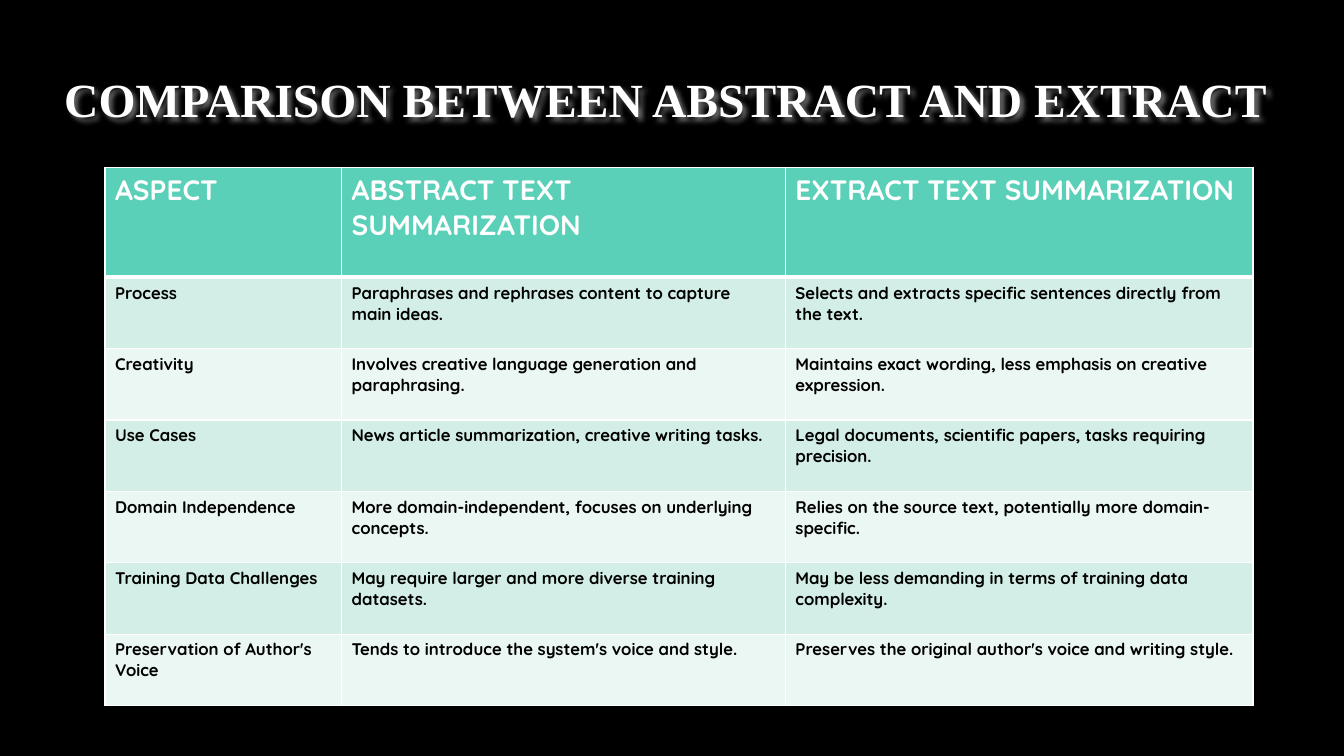
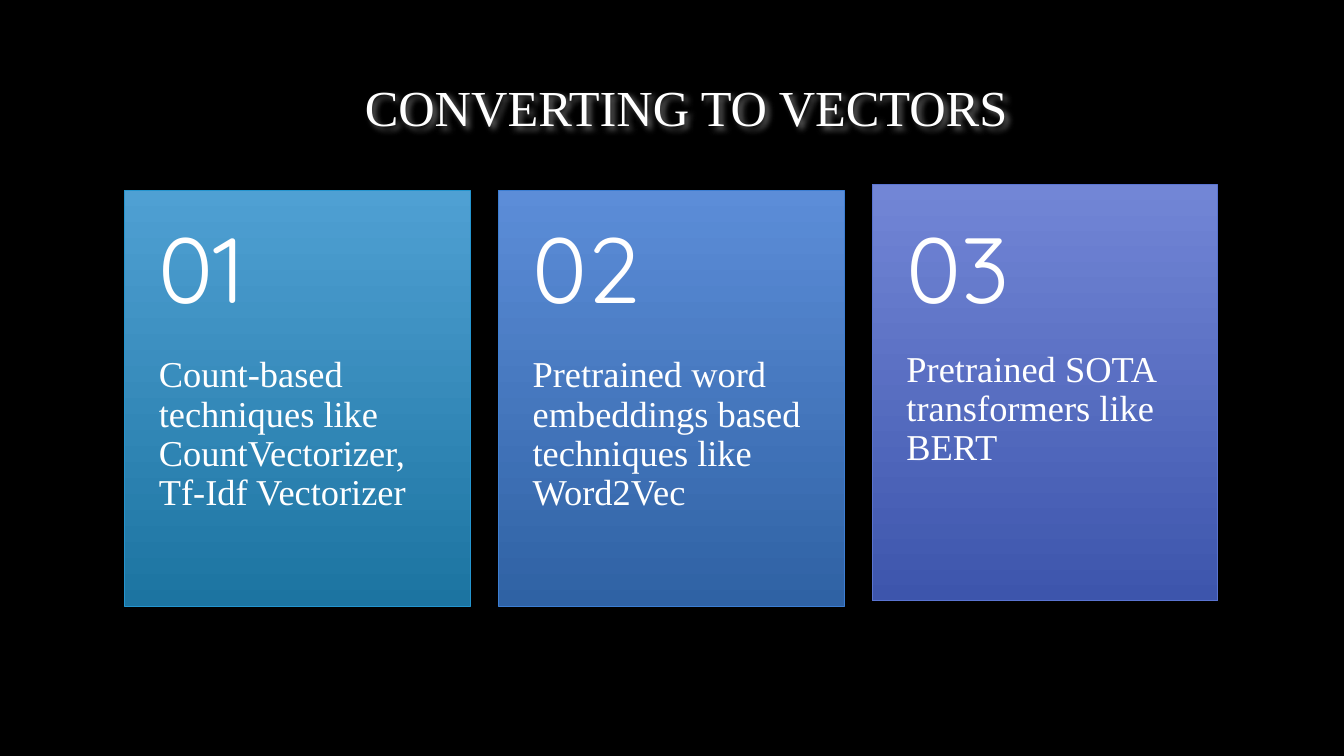
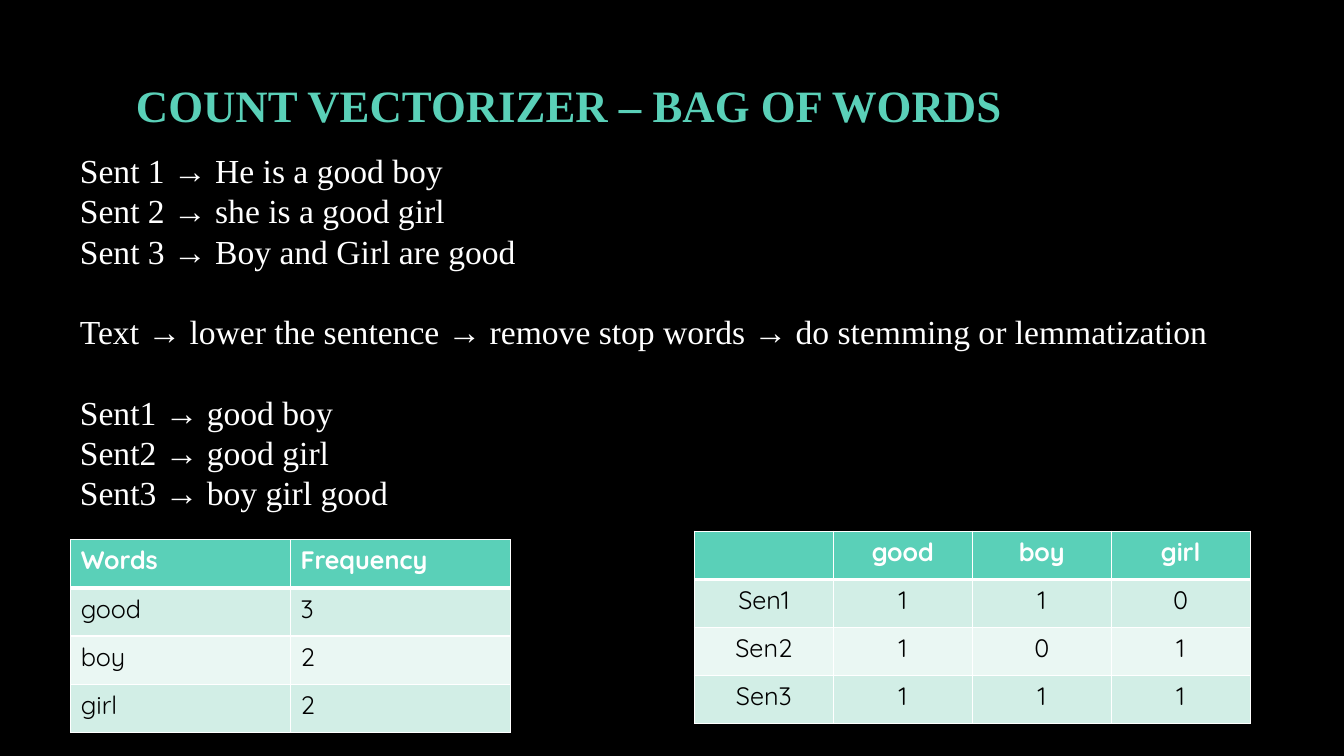
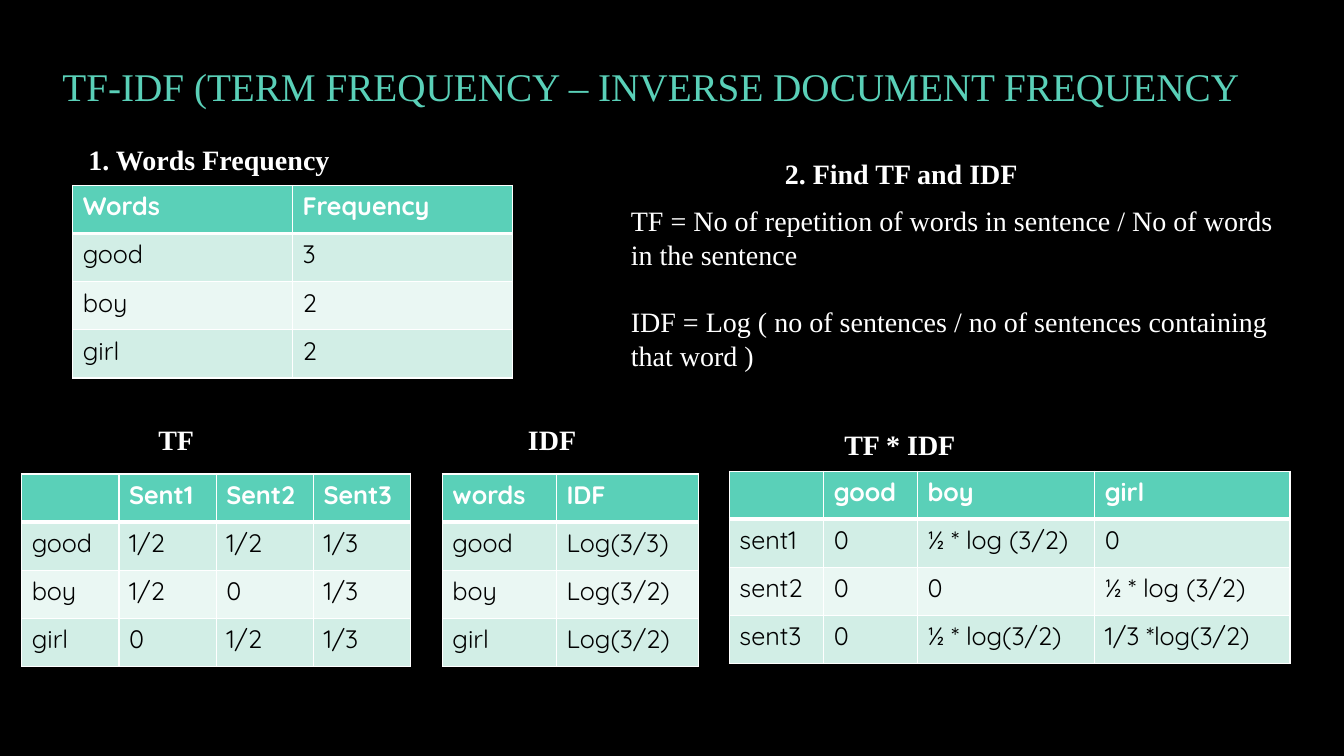
from lxml.etree import SubElement
from pptx import Presentation
from pptx.dml.color import RGBColor
from pptx.enum.shapes import MSO_SHAPE
from pptx.enum.text import MSO_ANCHOR, PP_ALIGN
from pptx.oxml.ns import qn
from pptx.util import Pt

COLORS = {
    "background": "000000",
    "light": "FFFFFF",
    "dark": "000000",
    "accent": "5AD0B8",
    "band_odd": "D2EEE6",
    "band_even": "EAF7F3",
}
SERIF = "Times New Roman"
SANS = "Quicksand"
ROW_HEIGHT = 34.4

COMPARISON = [
    ["ASPECT", "ABSTRACT TEXT SUMMARIZATION", "EXTRACT TEXT SUMMARIZATION"],
    ["Process", "Paraphrases and rephrases content to capture main ideas.",
     "Selects and extracts specific sentences directly from the text."],
    ["Creativity", "Involves creative language generation and paraphrasing.",
     "Maintains exact wording, less emphasis on creative expression."],
    ["Use Cases", "News article summarization, creative writing tasks.",
     "Legal documents, scientific papers, tasks requiring precision."],
    ["Domain Independence", "More domain-independent, focuses on underlying concepts.",
     "Relies on the source text, potentially more domain-specific."],
    ["Training Data Challenges", "May require larger and more diverse training datasets.",
     "May be less demanding in terms of training data complexity."],
    ["Preservation of Author's Voice", "Tends to introduce the system's voice and style.",
     "Preserves the original author's voice and writing style."],
]
# number, description, gradient top, gradient bottom, outline, vertical shift
CARDS = [
    ("01", "Count-based techniques like CountVectorizer, Tf-Idf Vectorizer",
     "4FA0D3", "1C74A1", "2495CF", 0),
    ("02", "Pretrained word embeddings based techniques like Word2Vec",
     "5C8DD8", "2F62A4", "3C7ED3", 0),
    ("03", "Pretrained SOTA transformers like BERT",
     "7286D6", "3D55AC", "5A74D1", -4),
]
WORD_FREQUENCY = [["Words", "Frequency"], ["good", "3"], ["boy", "2"], ["girl", "2"]]
BAG_OF_WORDS = [
    ["", "good", "boy", "girl"],
    ["Sen1", "1", "1", "0"],
    ["Sen2", "1", "0", "1"],
    ["Sen3", "1", "1", "1"],
]
TERM_FREQUENCY = [
    ["", "Sent1", "Sent2", "Sent3"],
    ["good", "1/2", "1/2", "1/3"],
    ["boy", "1/2", "0", "1/3"],
    ["girl", "0", "1/2", "1/3"],
]
INVERSE_FREQUENCY = [
    ["words", "IDF"], ["good", "Log(3/3)"], ["boy", "Log(3/2)"], ["girl", "Log(3/2)"],
]
TF_IDF = [
    ["", "good", "boy", "girl"],
    ["sent1", "0", "½ * log (3/2)", "0"],
    ["sent2", "0", "0", "½ * log (3/2)"],
    ["sent3", "0", "½ * log(3/2)", "1/3 *log(3/2)"],
]


def rgb(color):
    return RGBColor.from_string(color)


def add_run(paragraph, text, size, color, bold=False, font=SERIF):
    run = paragraph.add_run()
    run.text = text
    run.font.name = font
    run.font.size = Pt(size)
    run.font.bold = bold
    run.font.color.rgb = rgb(color)


def add_text(slide, box, groups, size, color=COLORS["light"], bold=False, font=SERIF,
             anchor=MSO_ANCHOR.TOP, align=PP_ALIGN.LEFT, line_spacing=None,
             insets=(7.2, 3.6, 7.2, 3.6), group_gap=0):
    """Add a text box; each group is a list of lines, with group_gap between groups."""
    shape = slide.shapes.add_textbox(*map(Pt, box))
    frame = shape.text_frame
    frame.word_wrap = True
    frame.vertical_anchor = anchor
    (frame.margin_left, frame.margin_top,
     frame.margin_right, frame.margin_bottom) = map(Pt, insets)
    paragraph = None
    for lines in groups:
        for index, line in enumerate(lines):
            is_first = paragraph is None
            paragraph = frame.paragraphs[0] if is_first else frame.add_paragraph()
            paragraph.alignment = align
            if line_spacing:
                paragraph.line_spacing = line_spacing
            if index == 0 and not is_first:
                paragraph.space_before = Pt(group_gap)
            add_run(paragraph, line, size, color, bold, font)
    return shape


def add_label(slide, left, top, width, text):
    add_text(slide, (left, top, width, 31.5), [[text]], 20, bold=True)


def add_glow_shadow(shape):
    effects = SubElement(shape.element.spPr, qn("a:effectLst"))
    shadow = SubElement(effects, qn("a:outerShdw"), blurRad=str(Pt(4)),
                        dist=str(Pt(3)), dir="2700000", algn="tl", rotWithShape="0")
    color = SubElement(shadow, qn("a:srgbClr"), val=COLORS["light"])
    SubElement(color, qn("a:alpha"), val="40000")


def set_borders(cell, top, bottom):
    properties = cell._tc.get_or_add_tcPr()
    for side, width in (("L", 1), ("R", 1), ("T", top), ("B", bottom)):
        line = SubElement(properties, qn(f"a:ln{side}"), w=str(Pt(width)))
        fill = SubElement(line, qn("a:solidFill"))
        SubElement(fill, qn("a:srgbClr"), val=COLORS["light"])


def add_table(slide, left, top, widths, rows, header_height=ROW_HEIGHT,
              row_height=ROW_HEIGHT, header_size=18, body_size=18, body_bold=False,
              align=PP_ALIGN.LEFT):
    heights = [header_height] + [row_height] * (len(rows) - 1)
    table = slide.shapes.add_table(len(rows), len(widths), Pt(left), Pt(top),
                                   Pt(sum(widths)), Pt(sum(heights))).table
    for column, width in zip(table.columns, widths):
        column.width = Pt(width)
    for index, (height, texts) in enumerate(zip(heights, rows)):
        table.rows[index].height = Pt(height)
        is_header = index == 0
        band = "accent" if is_header else "band_odd" if index % 2 else "band_even"
        for column, text in enumerate(texts):
            cell = table.cell(index, column)
            set_borders(cell, 3 if index == 1 else 1, 3 if is_header else 1)
            cell.fill.solid()
            cell.fill.fore_color.rgb = rgb(COLORS[band])
            paragraph = cell.text_frame.paragraphs[0]
            paragraph.alignment = align
            if text:
                add_run(paragraph, text, header_size if is_header else body_size,
                        COLORS["light" if is_header else "dark"],
                        is_header or body_bold, SANS)


def add_card(slide, left, number, description, top_color, bottom_color, outline, shift):
    top, width, height, number_height = 136, 247, 297, 118.5
    card = slide.shapes.add_shape(MSO_SHAPE.RECTANGLE, Pt(left), Pt(top + shift),
                                  Pt(width), Pt(height))
    card.shadow.inherit = False
    card.fill.gradient()
    card.fill.gradient_angle = 270
    for stop, position, color in zip(card.fill.gradient_stops, (0, 1),
                                     (top_color, bottom_color)):
        stop.position = position
        stop.color.rgb = rgb(color)
    card.line.color.rgb = rgb(outline)
    card.line.width = Pt(0.75)
    add_text(slide, (left, top + number_height + shift, width, height - number_height),
             [[description]], 26, line_spacing=0.9, insets=(24.5, 0, 24.5, 26))
    add_text(slide, (left, top, width, number_height), [[number]], 66, font=SANS,
             anchor=MSO_ANCHOR.MIDDLE, line_spacing=0.9, insets=(24.5, 13, 24.5, 13))


def build_comparison(slide):
    add_table(slide, 75, 119.5, [169, 317, 334], COMPARISON, header_height=78.5,
              row_height=51, header_size=20, body_size=12, body_bold=True)
    title = add_text(slide, (5, 36, 941, 58.5),
                     [["COMPARISON BETWEEN ABSTRACT AND EXTRACT"]], 34, bold=True,
                     anchor=MSO_ANCHOR.BOTTOM, align=PP_ALIGN.CENTER, line_spacing=0.9)
    add_glow_shadow(title)


def build_vectors(slide):
    title = add_text(slide, (253.5, 51, 642, 83.5), [["CONVERTING TO VECTORS"]], 36)
    add_glow_shadow(title)
    for index, card in enumerate(CARDS):
        add_card(slide, 89 + 267 * index, *card)


def build_bag_of_words(slide):
    add_text(slide, (90, 17.5, 780, 114.5), [["COUNT VECTORIZER – BAG OF WORDS"]], 32,
             COLORS["accent"], bold=True, anchor=MSO_ANCHOR.MIDDLE)
    add_text(slide, (50, 103.5, 879, 312.5), [
        ["Sent 1 → He is a good boy",
         "Sent 2 → she is a good girl",
         "Sent 3 → Boy and Girl are good"],
        ["Text → lower the sentence → remove stop words → do stemming or lemmatization"],
        ["Sent1 → good boy", "Sent2 → good girl", "Sent3 → boy girl good"],
    ], 24, group_gap=28.8)
    add_table(slide, 50.5, 385.5, [157] * 2, WORD_FREQUENCY)
    add_table(slide, 496, 379.5, [99.25] * 4, BAG_OF_WORDS, align=PP_ALIGN.CENTER)


def build_tf_idf(slide):
    add_text(slide, (37.5, 24.5, 860, 74),
             [["TF-IDF (TERM FREQUENCY – INVERSE DOCUMENT FREQUENCY"]], 28,
             COLORS["accent"], anchor=MSO_ANCHOR.MIDDLE)
    # Frequencies and formulas
    add_label(slide, 56, 98, 295, "1. Words Frequency")
    add_table(slide, 52, 132.5, [157] * 2, WORD_FREQUENCY)
    add_label(slide, 553.5, 108, 343.5, "2. Find TF and IDF")
    add_text(slide, (443.5, 142, 489, 128), [
        ["TF = No of repetition of words in sentence / No of words in the sentence"],
        ["IDF = Log ( no of sentences / no of sentences containing that word )"],
    ], 20, group_gap=24)
    # Result tables
    add_label(slide, 106, 298, 117, "TF")
    add_table(slide, 15.5, 338.5, [69.5] * 4, TERM_FREQUENCY)
    add_label(slide, 370, 298, 137.5, "IDF")
    add_table(slide, 316, 338.5, [81.5, 101.5], INVERSE_FREQUENCY)
    add_label(slide, 596, 302, 199, "TF * IDF")
    add_table(slide, 521, 336.5, [67.5, 67, 126.5, 139.5], TF_IDF)


def main():
    presentation = Presentation()
    presentation.slide_width = Pt(960)
    presentation.slide_height = Pt(540)
    background = presentation.slide_master.background.fill
    background.solid()
    background.fore_color.rgb = rgb(COLORS["background"])
    blank_layout = presentation.slide_layouts[6]
    for build in (build_comparison, build_vectors, build_bag_of_words, build_tf_idf):
        build(presentation.slides.add_slide(blank_layout))
    presentation.save("out.pptx")


if __name__ == "__main__":
    main()
